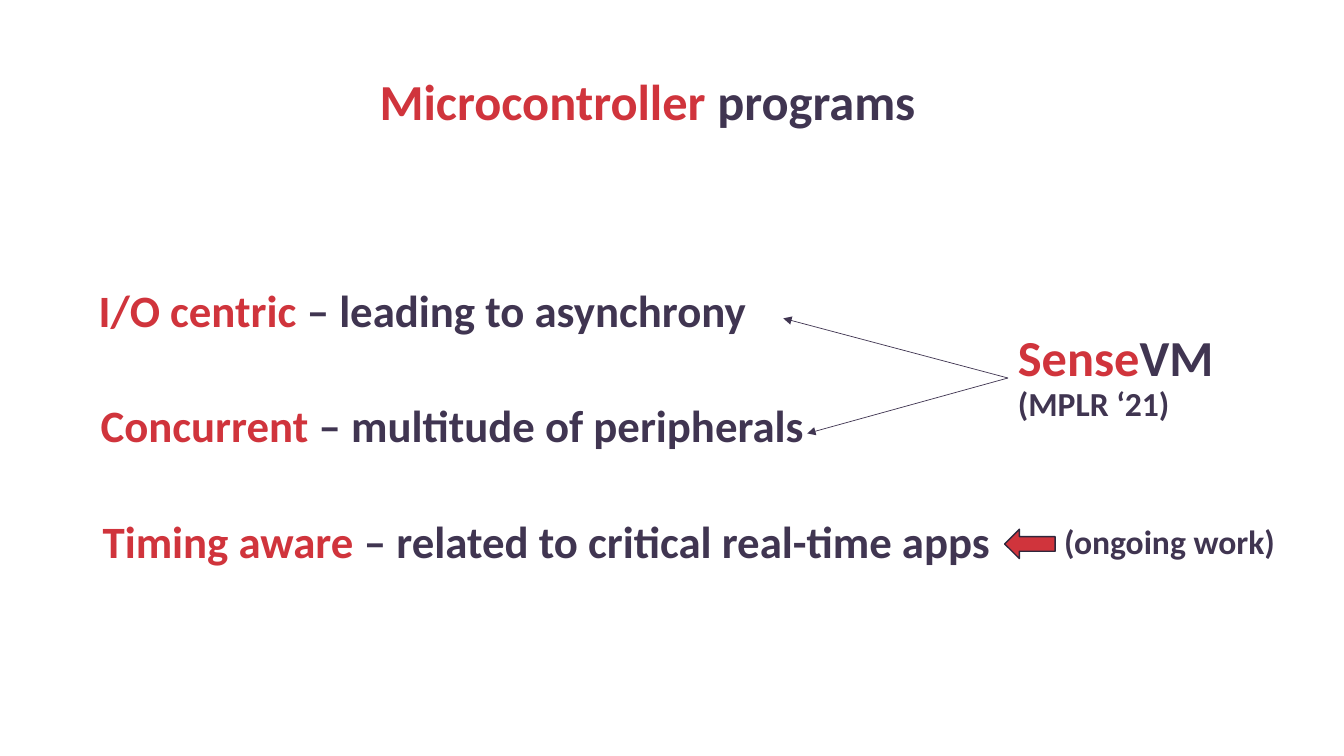
from pptx import Presentation
from pptx.dml.color import RGBColor
from pptx.enum.shapes import MSO_CONNECTOR, MSO_SHAPE
from pptx.enum.text import MSO_ANCHOR
from pptx.oxml.ns import qn
from pptx.util import Inches, Pt
from lxml.etree import SubElement

RED, INK, OUTLINE = "D0343C", "403551", "2F273C"

presentation = Presentation()
presentation.slide_width = Inches(13.33)
presentation.slide_height = Inches(7.5)
slide = presentation.slides.add_slide(presentation.slide_layouts[6])
column = presentation.slide_width / 160
row = presentation.slide_height / 90


def color(hex_string):
    return RGBColor.from_string(hex_string)


def add_text(left, top, width, height, runs):
    box = slide.shapes.add_textbox(
        int(left * column), int(top * row), int(width * column), int(height * row))
    frame = box.text_frame
    frame.word_wrap = True
    frame.vertical_anchor = MSO_ANCHOR.MIDDLE
    paragraph = frame.paragraphs[0]
    paragraph.line_spacing = 0.9
    for text, size, hex_string in runs:
        if text == "\n":
            paragraph.add_line_break()
            continue
        run = paragraph.add_run()
        run.text = text
        run.font.name = "Calibri"
        run.font.size = Pt(size)
        run.font.bold = True
        run.font.color.rgb = color(hex_string)
    return box


add_text(44, 0.6, 67.1, 23.6, [("Microcontroller ", 36, RED), ("programs", 36, INK)])

traits = [
    (10.56, 106.8, "I/O centric ", "– leading to asynchrony"),
    (10.8, 106.8, "Concurrent ", "– multitude of peripherals"),
    (11.04, 124.7, "Timing aware ", "– related to critical real-time apps"),
]
for index, (left, width, trait, detail) in enumerate(traits):
    add_text(left, 29.75 + 13.74 * index, width, 15, [(trait, 32, RED), (detail, 32, INK)])

sense_vm = add_text(120, 33.2, 29.3, 23.6, [
    ("Sense", 36, RED), ("VM", 36, INK), ("\n", 36, INK), ("(MPLR ‘21)", 24, INK)])
add_text(125.5, 52.9, 29.3, 23.6, [("(ongoing work)", 24, INK)])

for end_column, end_row in [(93.25, 37.9), (96.1, 51.6)]:
    connector = slide.shapes.add_connector(
        MSO_CONNECTOR.STRAIGHT, int(119.6 * column), int(45 * row),
        int(end_column * column), int(end_row * row))
    connector.begin_connect(sense_vm, 1)
    connector.line.color.rgb = color(INK)
    connector.line.width = Pt(0.5)
    SubElement(connector.line._get_or_add_ln(), qn("a:tailEnd"), type="triangle")
    SubElement(connector._element.spPr, qn("a:effectLst"))

ongoing_arrow = slide.shapes.add_shape(
    MSO_SHAPE.RIGHT_ARROW, int(119.6 * column), int(63 * row), int(6 * column), int(3.5 * row))
ongoing_arrow.rotation = 180
ongoing_arrow.shadow.inherit = False
ongoing_arrow.fill.solid()
ongoing_arrow.fill.fore_color.rgb = color(RED)
ongoing_arrow.line.color.rgb = color(OUTLINE)
ongoing_arrow.line.width = Pt(1)

presentation.save("out.pptx")
